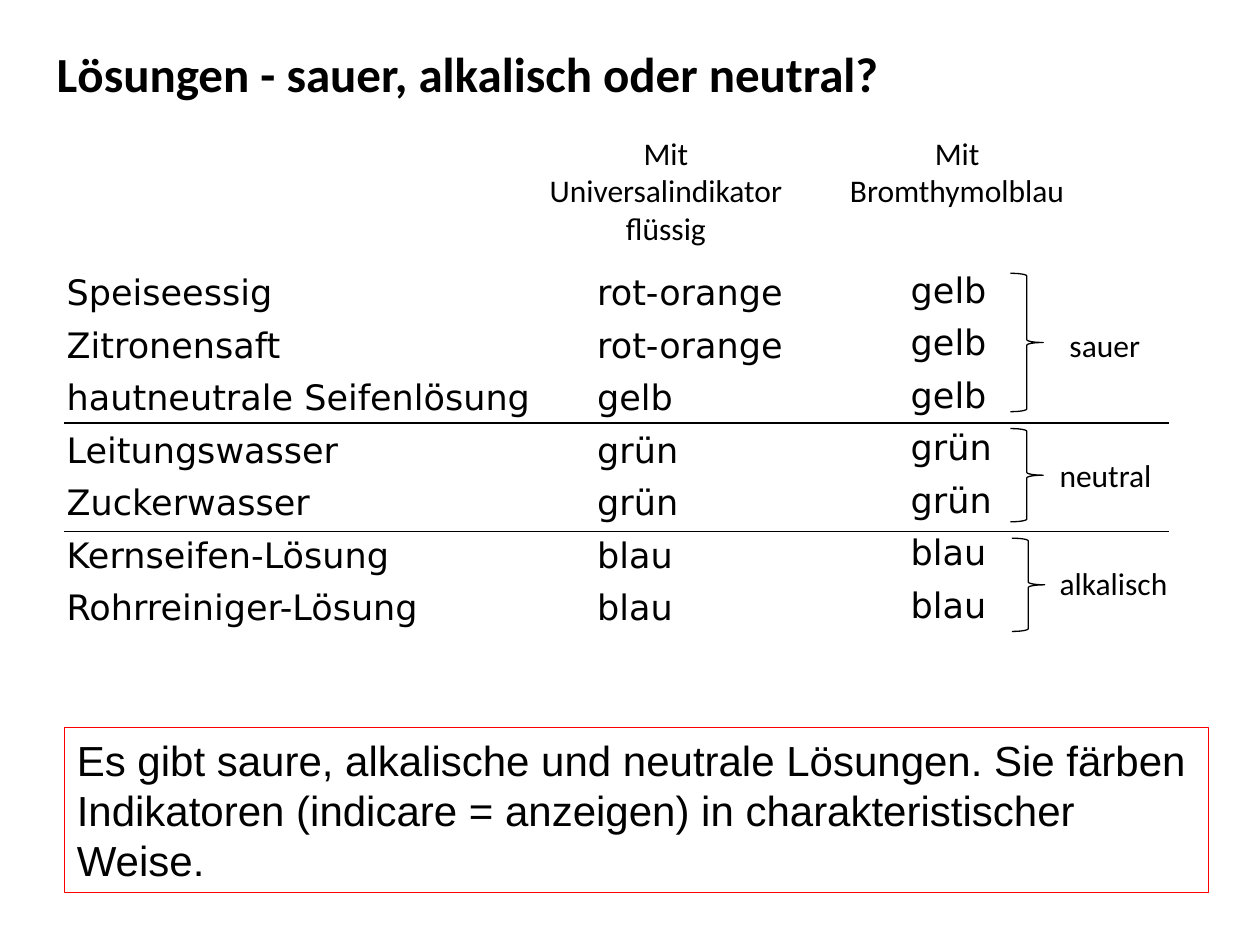
"""Build a slide that sorts solutions into acidic, neutral and alkaline."""
from dataclasses import dataclass

from lxml import etree
from pptx import Presentation
from pptx import util as u
from pptx.dml.color import RGBColor
from pptx.enum import shapes, text
from pptx.oxml import ns


@dataclass(frozen=True)
class Theme:
    ink: RGBColor = RGBColor(0, 0, 0)
    frame: RGBColor = RGBColor(255, 0, 0)
    title: int = 28
    summary: int = 24
    entry: int = 20
    label: int = 18
    line: float = 0.75


theme = Theme()


def write(shape, lines, font, size, align=text.PP_ALIGN.LEFT, after=0, bold=False):
    frame = shape.text_frame
    frame.word_wrap = True
    frame.auto_size = text.MSO_AUTO_SIZE.NONE
    frame.vertical_anchor = text.MSO_ANCHOR.TOP
    for index, line in enumerate(lines):
        paragraph = frame.paragraphs[0] if index == 0 else frame.add_paragraph()
        paragraph.alignment = align
        paragraph.space_before = u.Pt(0)
        paragraph.space_after = u.Pt(after)
        if shape.is_placeholder:
            properties = paragraph._p.get_or_add_pPr()
            properties.set("marL", "0")
            properties.set("indent", "0")
            etree.SubElement(properties, ns.qn("a:buNone"))
        run = paragraph.add_run()
        run.text = line
        run.font.name = font
        run.font.size = u.Pt(size)
        run.font.bold = bold
        run.font.color.rgb = theme.ink


def place(shape, left, top, width, height):
    shape.left, shape.top = u.Cm(left), u.Cm(top)
    shape.width, shape.height = u.Cm(width), u.Cm(height)


presentation = Presentation()
presentation.slide_width, presentation.slide_height = u.Cm(25.4), u.Cm(19.05)
slide = presentation.slides.add_slide(presentation.slide_layouts[1])
title, substances = slide.placeholders

place(title, 0.89, 0.74, 19.81, 1.45)
write(title, ["Lösungen - sauer, alkalisch oder neutral?"], "Calibri", theme.title, bold=True)

place(substances, 1.09, 5.33, 10.59, 7.52)
write(substances, ["Speiseessig", "Zitronensaft", "hautneutrale Seifenlösung", "Leitungswasser",
                   "Zuckerwasser", "Kernseifen-Lösung", "Rohrreiniger-Lösung"],
      "DejaVu Sans", theme.entry, after=6)

shared_colours = ["gelb", "grün", "grün", "blau", "blau"]
indicators = [
    ("Mit Universalindikator flüssig", 10.82, 11.79, 5.33, 4.72, ["rot-orange", "rot-orange"]),
    ("Mit Bromthymolblau", 16.69, 18.11, 5.28, 2.9, ["gelb", "gelb"]),
]
for heading, heading_left, left, top, width, first_colours in indicators:
    heading_box = slide.shapes.add_textbox(u.Cm(heading_left), u.Cm(2.57), u.Cm(5.21), u.Cm(2.57))
    write(heading_box, [heading], "Calibri", theme.label, text.PP_ALIGN.CENTER)
    colour_box = slide.shapes.add_textbox(u.Cm(left), u.Cm(top), u.Cm(width), u.Cm(7.52))
    write(colour_box, first_colours + shared_colours, "DejaVu Sans", theme.entry, after=6)

groups = [
    ("sauer", 21.31, 6.45, 20.37, 5.51, 2.79),
    ("neutral", 21.11, 9.07, 20.37, 8.64, 1.88),
    ("alkalisch", 21.11, 11.25, 20.4, 10.85, 1.88),
]
for name, label_left, label_top, left, top, height in groups:
    label = slide.shapes.add_textbox(u.Cm(label_left), u.Cm(label_top), u.Cm(3.12), u.Cm(1.02))
    write(label, [name], "Calibri", theme.label)
    brace = slide.shapes.add_shape(shapes.MSO_SHAPE.RIGHT_BRACE, u.Cm(left), u.Cm(top),
                                   u.Cm(0.66), u.Cm(height))
    brace.shadow.inherit = False
    brace.fill.background()
    brace.line.color.rgb = theme.ink
    brace.line.width = u.Pt(theme.line)

for y in (8.53, 10.72):
    divider = slide.shapes.add_connector(shapes.MSO_CONNECTOR.STRAIGHT, u.Cm(1.3), u.Cm(y),
                                         u.Cm(23.57), u.Cm(y))
    divider.line.color.rgb = theme.ink
    divider.line.width = u.Pt(theme.line)
    etree.SubElement(divider._element.spPr, ns.qn("a:effectLst"))

summary = slide.shapes.add_shape(shapes.MSO_SHAPE.RECTANGLE, u.Cm(1.3), u.Cm(14.66),
                                 u.Cm(23.06), u.Cm(3.33))
summary.shadow.inherit = False
summary.fill.background()
summary.line.color.rgb = theme.frame
summary.line.width = u.Pt(theme.line)
write(summary, ["Es gibt saure, alkalische und neutrale Lösungen. Sie färben Indikatoren "
                "(indicare = anzeigen) in charakteristischer Weise."],
      "Arial", theme.summary, after=6)
summary.text_frame.vertical_anchor = text.MSO_ANCHOR.MIDDLE

presentation.save("out.pptx")
